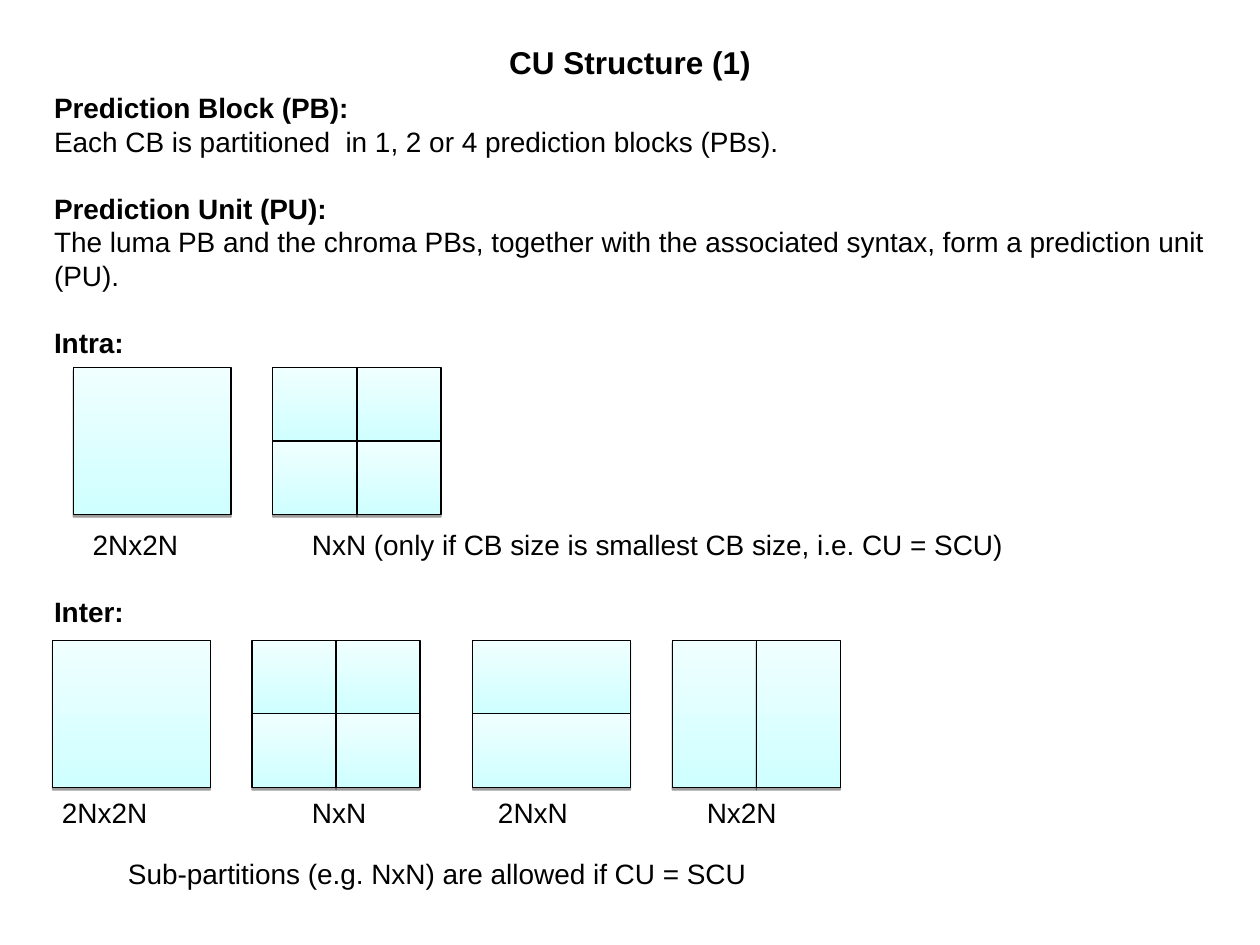
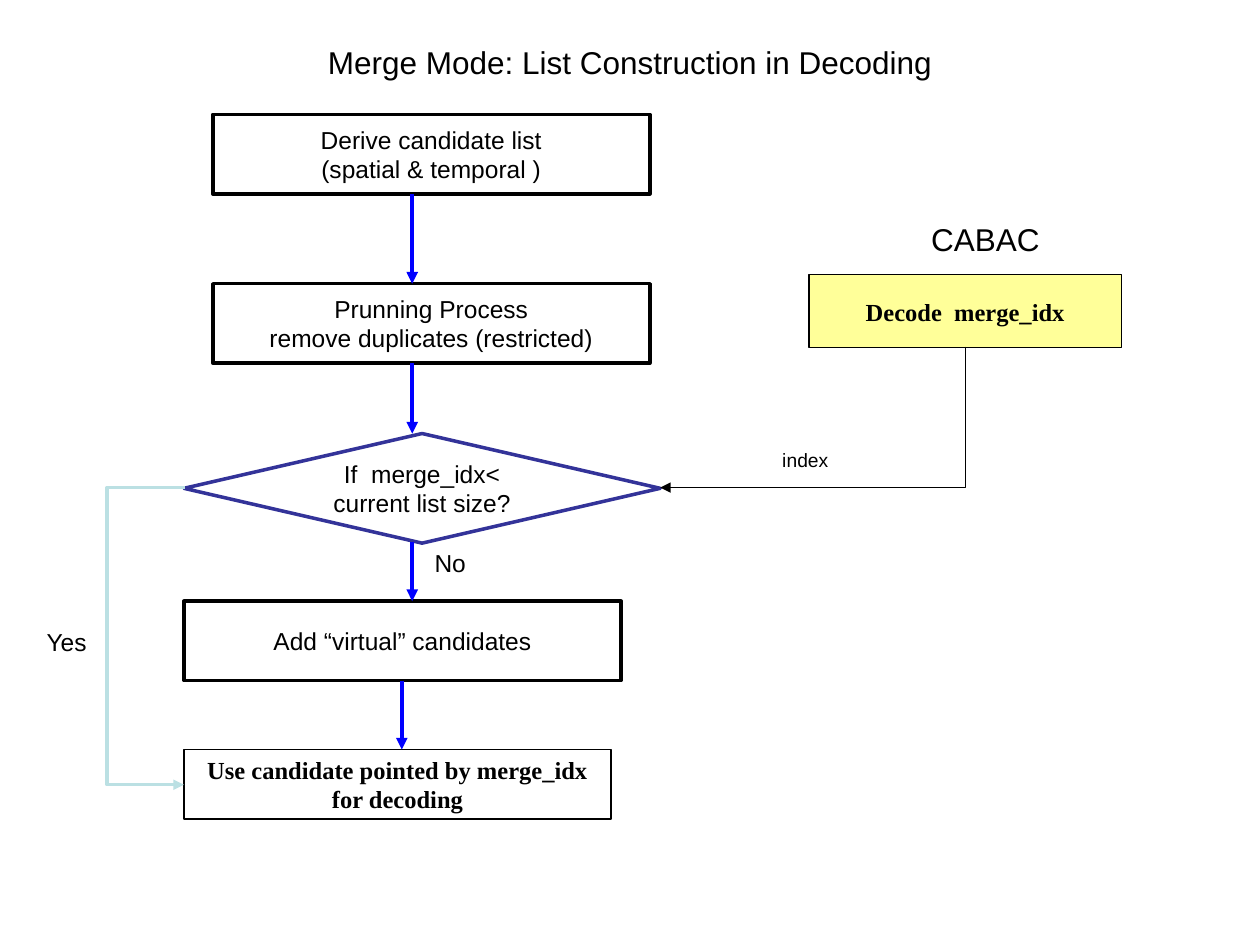
from lxml.etree import SubElement
from pptx import Presentation
from pptx.dml.color import RGBColor
from pptx.enum.shapes import MSO_CONNECTOR, MSO_SHAPE
from pptx.enum.text import MSO_ANCHOR, MSO_AUTO_SIZE, PP_ALIGN
from pptx.oxml.ns import qn
from pptx.util import Cm, Pt

COLOURS = {
    "text": "000000",
    "paper": "FFFFFF",
    "block_low": "CFFFFF",
    "block_high": "F0FFFF",
    "decision": "333399",
    "flow": "0000FF",
    "bypass": "BBE0E3",
    "decode": "FFFF99",
}
PLAIN = {"name": "Arial", "bold": False}
SERIF = {"name": "Times New Roman", "bold": True}
TITLE_ONLY = 5
LINE_FACTOR = 1.2
BLOCK_WIDTH, SPLIT_WIDTH, BLOCK_HEIGHT = 3.18, 3.39, 2.96


def colour(name):
    return RGBColor.from_string(COLOURS[name])


class SlideBuilder:
    """Holds the deck, its style and the slide being filled."""

    def __init__(self):
        self.deck = Presentation()
        self.deck.slide_width, self.deck.slide_height = Cm(25.4), Cm(19.05)
        self.page = None

    def new_page(self, title, bold=False):
        self.page = self.deck.slides.add_slide(self.deck.slide_layouts[TITLE_ONLY])
        box = self.page.shapes.title
        place = {"left": 1.27, "top": 0.2, "width": 22.86, "height": 2.11}
        for name, value in place.items():
            setattr(box, name, Cm(value))
        self.fill_box(box, [title], 18, PLAIN | {"bold": bold}, centred=True)

    def fill_box(self, box, lines, size, style=PLAIN, centred=False, wrap=True):
        frame = box.text_frame
        layout = {
            "word_wrap": wrap,
            "auto_size": MSO_AUTO_SIZE.NONE,
            "vertical_anchor": MSO_ANCHOR.MIDDLE if centred else MSO_ANCHOR.TOP,
        }
        for name, value in layout.items():
            setattr(frame, name, value)
        for number, line in enumerate(lines):
            para = frame.add_paragraph() if number else frame.paragraphs[0]
            self.fill_para(para, line, size, style, centred)

    def fill_para(self, para, line, size, style, centred=False, blank_lines=0, tabs=()):
        pitch = size * LINE_FACTOR
        layout = {
            "alignment": PP_ALIGN.CENTER if centred else PP_ALIGN.LEFT,
            "line_spacing": Pt(pitch),
            "space_before": Pt(blank_lines * pitch),
        }
        for name, value in layout.items():
            setattr(para, name, value)
        if tabs:
            tab_list = SubElement(para._p.get_or_add_pPr(), qn("a:tabLst"))
            for stop in tabs:
                SubElement(tab_list, qn("a:tab"), pos=str(Cm(stop)), algn="l")
        span = para.add_run()
        span.text = line
        for name, value in (style | {"size": Pt(size)}).items():
            setattr(span.font, name, value)
        span.font.color.rgb = colour("text")

    def text_box(self, place, lines, size, wrap=False):
        box = self.page.shapes.add_textbox(*map(Cm, place))
        self.fill_box(box, lines, size, wrap=wrap)

    def outline(self, place, entries, size):
        """Entries are (text, bold, blank lines before, tab stops in cm)."""
        frame = self.page.shapes.add_textbox(*map(Cm, place)).text_frame
        frame.word_wrap = True
        for number, (line, bold, blank_lines, tabs) in enumerate(entries):
            para = frame.add_paragraph() if number else frame.paragraphs[0]
            self.fill_para(para, line, size, PLAIN | {"bold": bold},
                           blank_lines=blank_lines, tabs=tabs)

    def shape(self, kind, place, line="text", weight=0.75):
        box = self.page.shapes.add_shape(kind, *map(Cm, place))
        box.shadow.inherit = False
        box.line.color.rgb = colour(line)
        box.line.width = Pt(weight)
        return box

    def step(self, kind, place, lines, fill="paper", line="text", weight=2,
             style=PLAIN, wrap=True):
        box = self.shape(kind, place, line, weight)
        if fill:
            box.fill.solid()
            box.fill.fore_color.rgb = colour(fill)
        else:
            box.fill.background()
        self.fill_box(box, lines, 14, style, centred=True, wrap=wrap)

    def partition(self, left, top, columns, rows):
        """A coding block cut into an even grid of prediction blocks."""
        width = (BLOCK_WIDTH if columns == 1 else SPLIT_WIDTH) / columns
        height = BLOCK_HEIGHT / rows
        for column in range(columns):
            for row in range(rows):
                self.block((left + column * width, top + row * height, width, height))

    def block(self, place):
        box = self.shape(MSO_SHAPE.RECTANGLE, place)
        box.fill.gradient()
        box.fill.gradient_angle = 90
        for stop, name in zip(box.fill.gradient_stops, ("block_low", "block_high")):
            stop.color.rgb = colour(name)
        effects = box._element.spPr.find(qn("a:effectLst"))
        shadow = SubElement(effects, qn("a:outerShdw"), blurRad="0",
                            dist=str(Pt(1.6)), dir="5400000", rotWithShape="0")
        tone = SubElement(shadow, qn("a:srgbClr"), val=COLOURS["text"])
        SubElement(tone, qn("a:alpha"), val="38000")

    def arrow(self, start, end, line="flow", weight=2.25, kind=MSO_CONNECTOR.STRAIGHT):
        connector = self.page.shapes.add_connector(kind, *map(Cm, start + end))
        connector.line.color.rgb = colour(line)
        connector.line.width = Pt(weight)
        properties = connector._element.spPr
        SubElement(properties.find(qn("a:ln")), qn("a:tailEnd"), type="triangle")
        SubElement(properties, qn("a:effectLst"))
        return properties

    def side_arrow(self, start, end, lane, line, weight):
        """Leaves sideways, runs along the lane at this x and comes back."""
        properties = self.arrow(start, end, line, weight, MSO_CONNECTOR.ELBOW)
        share = (start[0] - lane) / (start[0] - end[0])
        guides = properties.find(qn("a:prstGeom")).get_or_add_avLst()
        SubElement(guides, qn("a:gd"), name="adj1", fmla=f"val {round(share * 100000)}")

    def corner_arrow(self, start, end, line, weight):
        """Goes down from the start, then left to the end: a quarter-turned corner."""
        middle_x, middle_y = (start[0] + end[0]) / 2, (start[1] + end[1]) / 2
        half_width, half_height = (end[1] - start[1]) / 2, (start[0] - end[0]) / 2
        properties = self.arrow((middle_x - half_width, middle_y - half_height),
                                (middle_x + half_width, middle_y + half_height),
                                line, weight, MSO_CONNECTOR.ELBOW)
        properties.find(qn("a:prstGeom")).set("prst", "bentConnector2")
        properties.find(qn("a:xfrm")).set("rot", "5400000")


def build_structure_page(builder):
    builder.new_page("CU Structure (1)", bold=True)

    # Definitions, headings and block captions
    builder.outline((0.84, 1.7, 23.7, 17), [
        ("Prediction Block (PB):", True, 0, ()),
        ("Each CB is partitioned  in 1, 2 or 4 prediction blocks (PBs).", False, 0, ()),
        ("Prediction Unit (PU):", True, 1, ()),
        ("The luma PB and the chroma PBs, together with the associated syntax, "
         "form a prediction unit (PU).", False, 0, ()),
        ("Intra:", True, 1, ()),
        ("\t2Nx2N\tNxN (only if CB size is smallest CB size, i.e. CU = SCU)",
         False, 5, (0.78, 5.2)),
        ("Inter:", True, 1, ()),
        ("\t2Nx2N\tNxN\t2NxN\tNx2N", False, 5, (0.16, 5.2, 8.95, 13.16)),
    ], 16)

    # Intra and inter partitions: left, columns, rows
    rows_of_blocks = {
        7.41: [(1.48, 1, 1), (5.5, 2, 2)],
        12.91: [(1.06, 1, 1), (5.08, 2, 2), (9.53, 1, 2), (13.55, 2, 1)],
    }
    for top, blocks in rows_of_blocks.items():
        for left, columns, rows in blocks:
            builder.partition(left, top, columns, rows)

    builder.text_box((2.33, 17.15, 18.4, 0.94),
                     ["Sub-partitions (e.g. NxN) are allowed if CU = SCU"], 16, wrap=True)


def build_merge_page(builder):
    builder.new_page("Merge Mode: List Construction in Decoding")

    # Steps of the list construction
    steps = [
        (4.29, 2.31, ["Derive candidate list", "(spatial & temporal )"]),
        (4.29, 5.72, ["Prunning Process", "remove duplicates (restricted)"]),
        (3.71, 12.12, ["Add “virtual” candidates"]),
    ]
    for left, top, lines in steps:
        builder.step(MSO_SHAPE.FLOWCHART_PROCESS, (left, top, 8.81, 1.6), lines)
    builder.step(MSO_SHAPE.DIAMOND, (3.71, 8.74, 9.6, 2.21),
                 ["If  merge_idx< current list size?"], line="decision")
    builder.step(MSO_SHAPE.RECTANGLE, (3.71, 15.11, 8.61, 1.4),
                 ["Use candidate pointed by merge_idx", "for decoding"],
                 fill=None, weight=0.75, style=SERIF, wrap=False)
    builder.step(MSO_SHAPE.RECTANGLE, (16.31, 5.54, 6.3, 1.47), ["Decode  merge_idx"],
                 fill="decode", weight=0.75, style=SERIF, wrap=False)

    # Arrows
    for x, top, bottom in [(8.31, 3.91, 5.72), (8.31, 7.32, 8.74),
                           (8.31, 10.92, 12.12), (8.1, 13.72, 15.11)]:
        builder.arrow((x, top), (x, bottom))
    builder.side_arrow((3.73, 9.83), (3.71, 15.82), 2.16, "bypass", 2)
    builder.corner_arrow((19.46, 6.99), (13.31, 9.83), "text", 0.75)

    # Labels
    for label, size, place in [
        ("Yes", 14, (0.69, 12.52, 1.35, 0.86)),
        ("No", 14, (8.51, 10.92, 1.14, 0.86)),
        ("CABAC", 18, (18.52, 4.32, 2.69, 1.02)),
        ("index", 11, (15.52, 8.92, 1.42, 0.74)),
    ]:
        builder.text_box(place, [label], size)


def main():
    builder = SlideBuilder()
    build_structure_page(builder)
    build_merge_page(builder)
    builder.deck.save("out.pptx")


if __name__ == "__main__":
    main()
